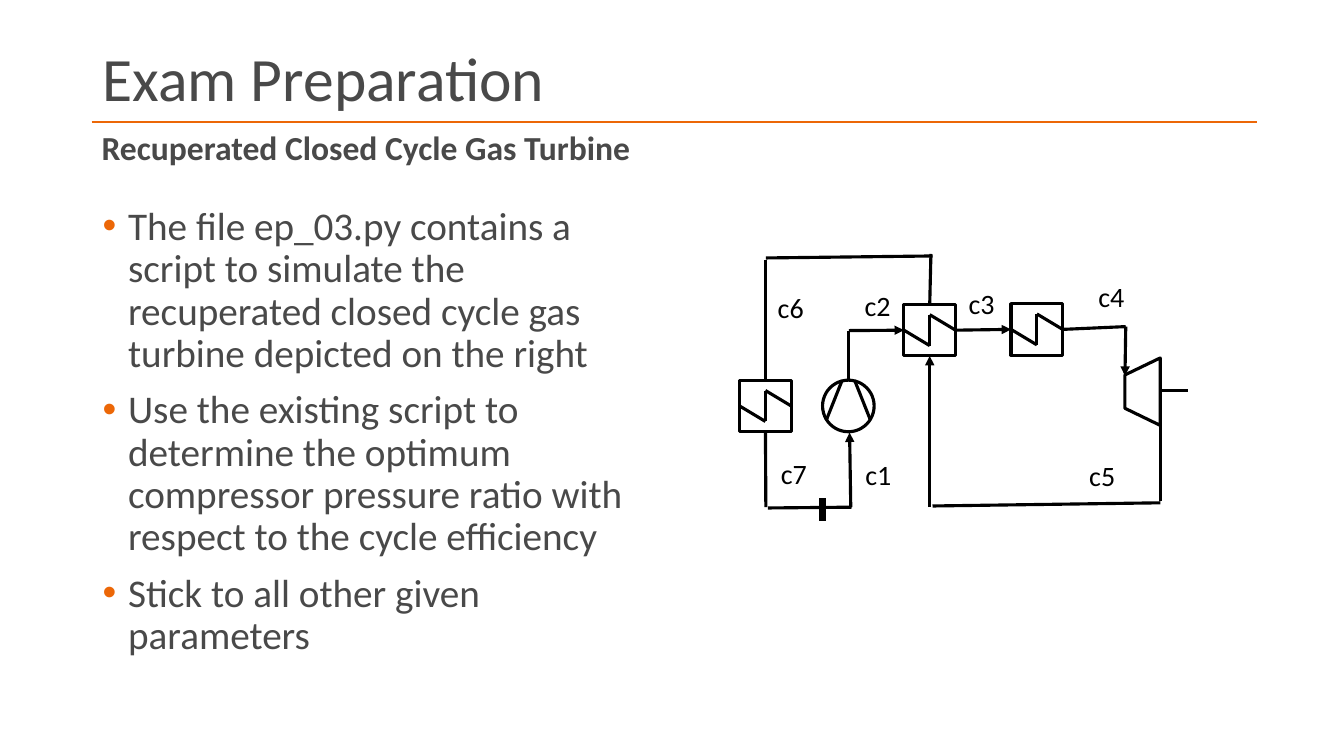
from pptx import Presentation
from pptx.dml.color import RGBColor
from pptx.enum import shapes, text
from pptx.oxml.ns import qn
from pptx.util import Cm, Pt
from lxml import etree

COLORS = {"text": "494949", "accent": "EC6707", "ink": "000000", "paper": "FFFFFF"}
FONT = "Calibri"
TITLE = "Exam Preparation"
SUBTITLE = "Recuperated Closed Cycle Gas Turbine"
TASKS = [
    "The file ep_03.py contains a script to simulate the recuperated closed cycle gas turbine depicted on the right",
    "Use the existing script to determine the optimum compressor pressure ratio with respect to the cycle efficiency",
    "Stick to all other given parameters",
]
UNIT = 1.3
EXCHANGERS = {"cooler": (18.64, 9.58), "recuperator": (22.78, 7.67), "heater": (25.48, 7.65)}
COMPRESSOR = (20.73, 9.58)
COMPRESSOR_LINES = [((0.07, 0.78), (0.38, 0)), ((0.93, 0.78), (0.62, 0))]
TURBINE = [(29.24, 10.72), (28.35, 10.29), (28.35, 9.45), (29.24, 9.02)]
TOP, LEFT, BOTTOM, RIGHT = range(4)
PIPES = [
    ((21.44, 12.78), (21.41, 10.9), True),
    ((21.39, 9.58), (21.39, 8.33), False),
    ((21.39, 8.33), ("recuperator", LEFT), True),
    (("recuperator", RIGHT), ("heater", LEFT), True),
    (("heater", RIGHT), (28.37, 8.23), False),
    ((28.37, 8.23), (28.35, 9.47), True),
    ((29.24, 9.83), (29.95, 9.83), False),
    ((29.24, 10.72), (29.24, 12.62), False),
    ((29.24, 12.67), (23.5, 12.75), False),
    ((23.43, 12.78), ("recuperator", BOTTOM), True),
    (("recuperator", TOP), (23.46, 6.4), False),
    ((23.5, 6.45), (19.3, 6.5), False),
    (("cooler", TOP), (19.29, 6.55), False),
    (("cooler", BOTTOM), (19.3, 12.78), False),
    ((21.46, 12.78), (19.35, 12.8), False),
]
LABELS = {
    "c1": (21.56, 11.4), "c2": (21.54, 7.14), "c3": (24.16, 7.09), "c4": (27.43, 6.93),
    "c5": (27.2, 11.43), "c6": (19.35, 7.19), "c7": (19.43, 11.38),
}


def color(name):
    return RGBColor.from_string(COLORS[name])


def add_text(slide, lines, box, size, ink="text", bold=False, spacing=None, before=None,
             bullet=False, wrap=True, anchor=text.MSO_ANCHOR.TOP):
    frame = slide.shapes.add_textbox(*map(Cm, box)).text_frame
    frame.word_wrap = wrap
    frame.vertical_anchor = anchor
    for number, line in enumerate(lines):
        paragraph = frame.add_paragraph() if number else frame.paragraphs[0]
        paragraph.line_spacing = spacing
        paragraph.space_before = before
        run = paragraph.add_run()
        run.text = line
        run.font.name = FONT
        run.font.size = Pt(size)
        run.font.bold = bold
        run.font.color.rgb = color(ink)
        if bullet:
            add_bullet(paragraph)


def add_bullet(paragraph):
    properties = paragraph._p.get_or_add_pPr()
    indent = Cm(0.64)
    properties.set("marL", str(indent))
    properties.set("indent", str(-indent))
    bullet_color = etree.SubElement(properties, qn("a:buClr"))
    etree.SubElement(bullet_color, qn("a:srgbClr"), val=COLORS["accent"])
    etree.SubElement(properties, qn("a:buFont"), typeface="Arial")
    etree.SubElement(properties, qn("a:buChar"), char="•")


def add_line(slide, start, end, arrow=False, ink="ink", width=2.25, joints=None):
    ends = [(0, 0) if isinstance(point[0], str) else point for point in (start, end)]
    line = slide.shapes.add_connector(
        shapes.MSO_CONNECTOR.STRAIGHT, *(Cm(value) for point in ends for value in point))
    for point, connect in ((start, line.begin_connect), (end, line.end_connect)):
        if isinstance(point[0], str):
            connect(joints[point[0]], point[1])
    line.line.color.rgb = color(ink)
    line.line.width = Pt(width)
    if arrow:
        etree.SubElement(line.line._get_or_add_ln(), qn("a:tailEnd"), type="triangle")
    etree.SubElement(line._element.spPr, qn("a:effectLst"))


def outline(shape):
    shape.shadow.inherit = False
    shape.fill.solid()
    shape.fill.fore_color.rgb = color("paper")
    shape.line.color.rgb = color("ink")
    shape.line.width = Pt(2.25)
    return shape


def add_unit(slide, kind, corner):
    return outline(slide.shapes.add_shape(kind, *map(Cm, (*corner, UNIT, UNIT))))


def inside(corner, fraction):
    return tuple(base + UNIT * part for base, part in zip(corner, fraction))


def add_cycle(slide):
    compressor_kind = shapes.MSO_SHAPE.OVAL
    add_unit(slide, compressor_kind, COMPRESSOR)
    for start, end in COMPRESSOR_LINES:
        add_line(slide, inside(COMPRESSOR, start), inside(COMPRESSOR, end))

    corners = [(Cm(x), Cm(y)) for x, y in TURBINE]
    builder = slide.shapes.build_freeform(*corners[0], scale=1.0)
    builder.add_line_segments(corners[1:], close=True)
    outline(builder.convert_to_shape())

    joints = {}
    for name, corner in EXCHANGERS.items():
        joints[name] = add_unit(slide, shapes.MSO_SHAPE.RECTANGLE, corner)
        low, high = inside(corner, (0.5, 0.8)), inside(corner, (0.5, 0.2))
        for start, end in (((name, LEFT), low), (low, high), (high, (name, RIGHT))):
            add_line(slide, start, end, joints=joints)

    for start, end, arrow in PIPES:
        add_line(slide, start, end, arrow, joints=joints)
    add_line(slide, (20.73, 12.55), (20.73, 13.13), width=4.5)
    for label, corner in LABELS.items():
        add_text(slide, [label], (*corner, 1.19, 1.12), 20, ink="ink", wrap=False)


def main():
    """Build the exam preparation slide with its gas turbine cycle."""
    presentation = Presentation()
    presentation.slide_width = Cm(33.87)
    presentation.slide_height = Cm(19.05)
    slide = presentation.slides.add_slide(presentation.slide_layouts[6])
    add_line(slide, (2.31, 3.07), (31.67, 3.07), ink="accent", width=1.5)
    add_text(slide, [TITLE], (2.34, 1.02, 26.09, 2.06), 44, spacing=0.9,
             anchor=text.MSO_ANCHOR.MIDDLE)
    add_text(slide, TASKS, (2.34, 5.08, 14.4, 12.09), 28, spacing=0.9,
             before=Pt(10), bullet=True)
    add_text(slide, [SUBTITLE], (2.31, 3.07, 29.24, 1.52), 24, bold=True)
    add_cycle(slide)
    presentation.save("out.pptx")


if __name__ == "__main__":
    main()
